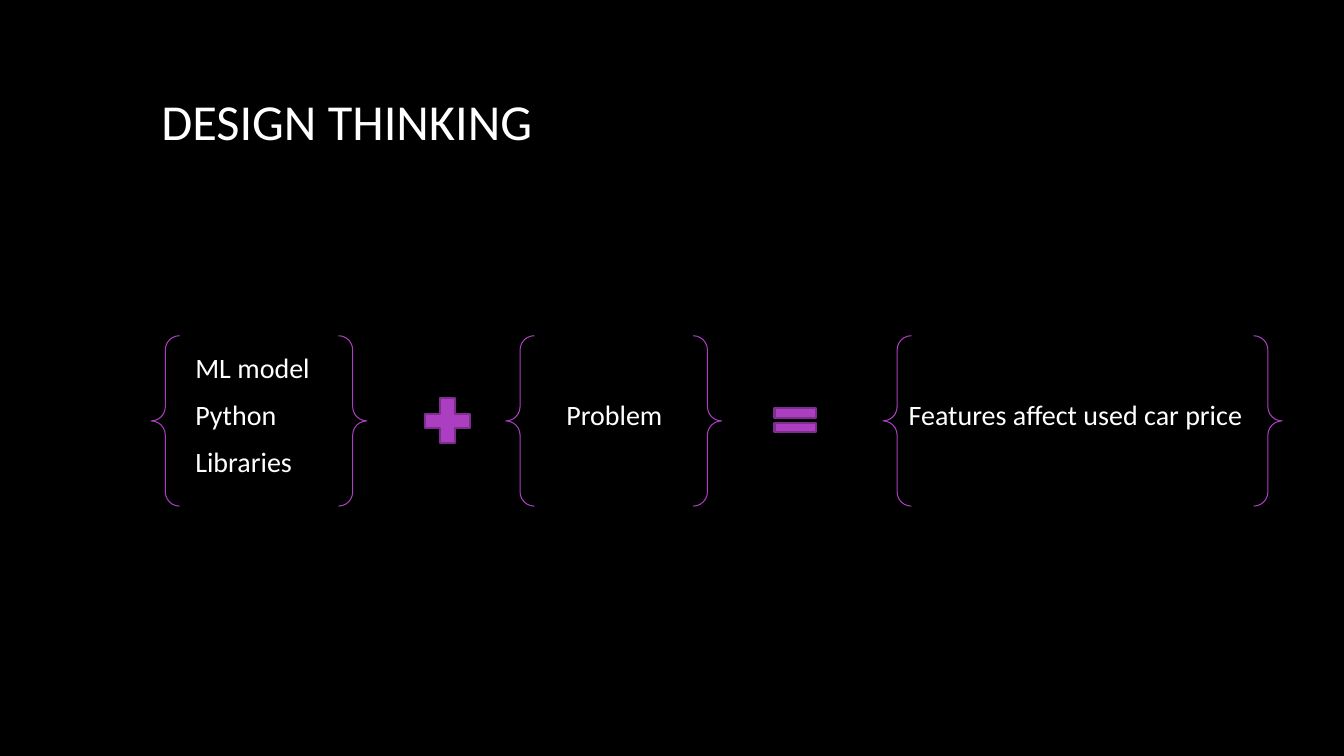
import pptx
import pptx.util
import pptx.dml.color
import pptx.enum.shapes
import pptx.enum.text

Pt = pptx.util.Pt
RGBColor = pptx.dml.color.RGBColor
SHAPE = pptx.enum.shapes.MSO_SHAPE
ANCHOR = pptx.enum.text.MSO_ANCHOR
ALIGN = pptx.enum.text.PP_ALIGN

BLACK = RGBColor(0x00, 0x00, 0x00)
WHITE = RGBColor(0xFF, 0xFF, 0xFF)
PURPLE = RGBColor(0xAC, 0x3E, 0xC1)
DARK_PURPLE = RGBColor(0x7F, 0x2E, 0x8F)

BRACE_TOP, BRACE_HEIGHT = 239.8, 121.7
TEXT_TOP = 234.8

# brace left, brace width, text left, text width, lines
GROUPS = [
    (108, 154.1, 139.5, 90, ["ML model", "Python", "Libraries"]),
    (361.4, 154.1, 404.5, 70, ["Problem"]),
    (630.7, 285.1, 649, 245, ["Features affect used car price"]),
]
OPERATORS = [
    (SHAPE.MATH_PLUS, 298.1, 278.6, 43.2, 43.9),
    (SHAPE.MATH_EQUAL, 547.9, 285.8, 40.3, 28.8),
]


def set_attributes(target, values):
    for name, value in values.items():
        setattr(target, name, value)


def write_lines(shape, lines, size, frame_format):
    frame = shape.text_frame
    set_attributes(frame, frame_format)
    frame.text = "\n".join(lines)
    for index, paragraph in enumerate(frame.paragraphs):
        paragraph.alignment = ALIGN.LEFT
        paragraph.space_before = Pt(9.5 if index else 0)
        set_attributes(paragraph.font, {"name": "Calibri", "size": Pt(size)})
        paragraph.font.color.rgb = WHITE


def add_title(slide, text):
    title = slide.shapes.title
    set_attributes(title, {"left": Pt(108), "top": Pt(48.2),
                           "width": Pt(797.8), "height": Pt(114.5)})
    write_lines(title, [text], 36, {
        "vertical_anchor": ANCHOR.TOP, "margin_top": Pt(16), "word_wrap": True})


def add_outlined_shape(slide, kind, box, line_color, line_width, fill_color=None):
    shape = slide.shapes.add_shape(kind, *map(Pt, box))
    shape.shadow.inherit = False
    if fill_color is None:
        shape.fill.background()
    else:
        shape.fill.solid()
        shape.fill.fore_color.rgb = fill_color
    shape.line.color.rgb = line_color
    shape.line.width = Pt(line_width)


def add_brace_group(slide, brace_left, brace_width, text_left, text_width, lines):
    brace_box = (brace_left, BRACE_TOP, brace_width, BRACE_HEIGHT)
    add_outlined_shape(slide, SHAPE.DOUBLE_BRACE, brace_box, PURPLE, 0.75)
    text_box = slide.shapes.add_textbox(
        Pt(text_left), Pt(TEXT_TOP), Pt(text_width), Pt(BRACE_HEIGHT))
    write_lines(text_box, lines, 20, {
        "vertical_anchor": ANCHOR.MIDDLE, "word_wrap": False,
        "margin_left": 0, "margin_right": 0, "margin_top": 0, "margin_bottom": 0})


def main():
    presentation = pptx.Presentation()
    presentation.slide_width = Pt(960)
    presentation.slide_height = Pt(540)
    slide = presentation.slides.add_slide(presentation.slide_layouts[5])
    slide.background.fill.solid()
    slide.background.fill.fore_color.rgb = BLACK

    add_title(slide, "DESIGN THINKING")
    for group in GROUPS:
        add_brace_group(slide, *group)
    for kind, *box in OPERATORS:
        add_outlined_shape(slide, kind, box, DARK_PURPLE, 1.5, PURPLE)

    presentation.save("out.pptx")


if __name__ == "__main__":
    main()
